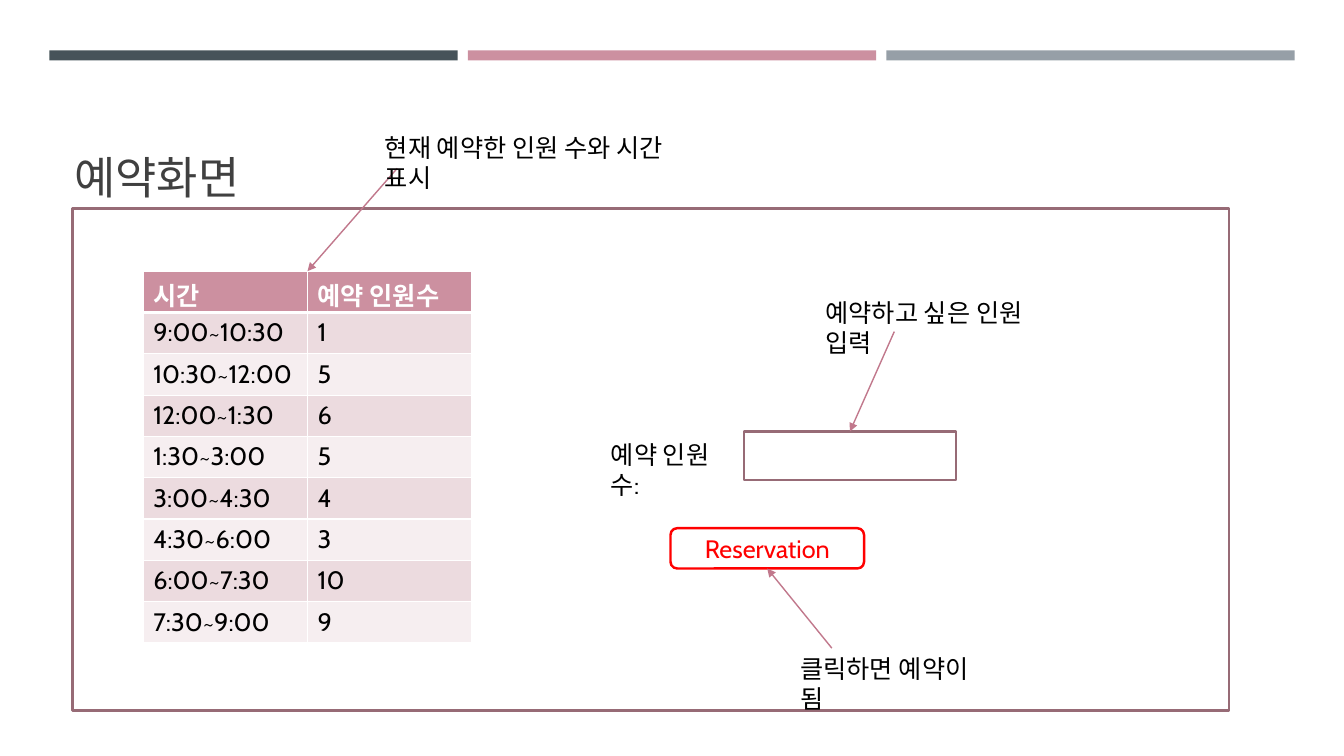
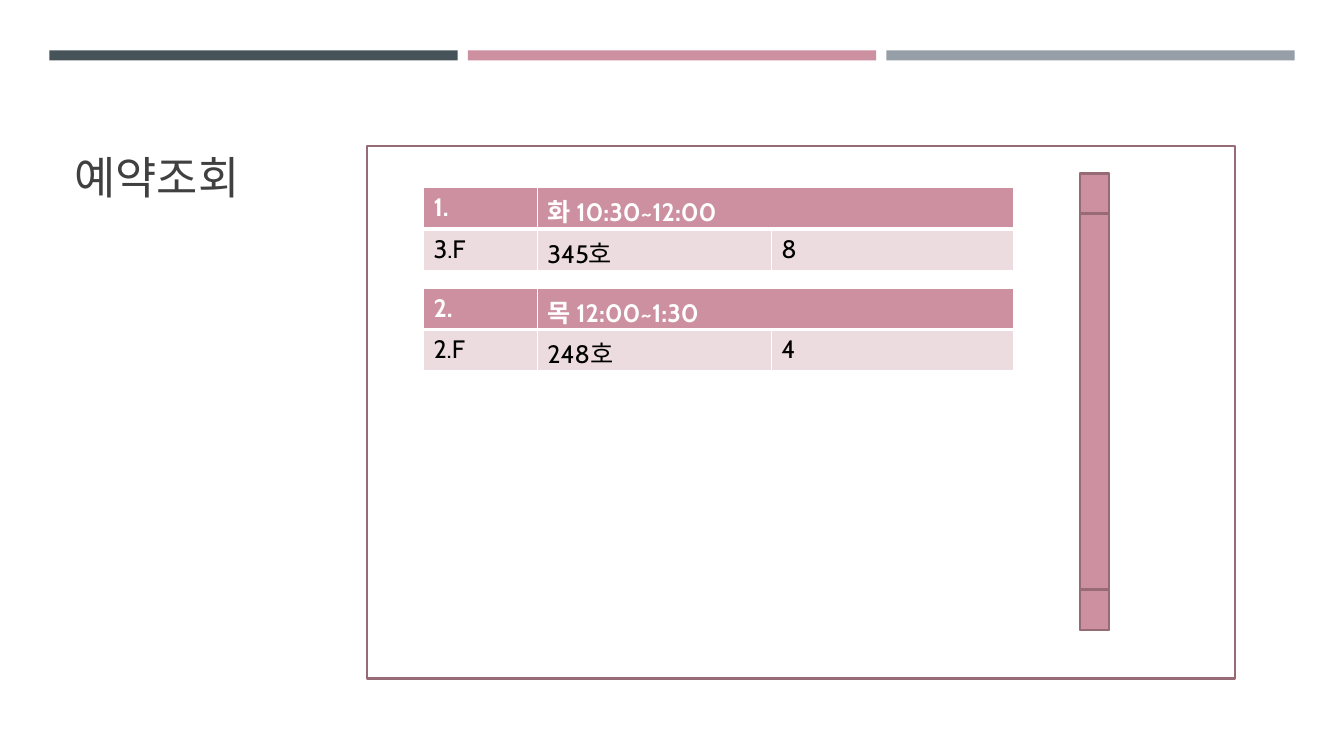
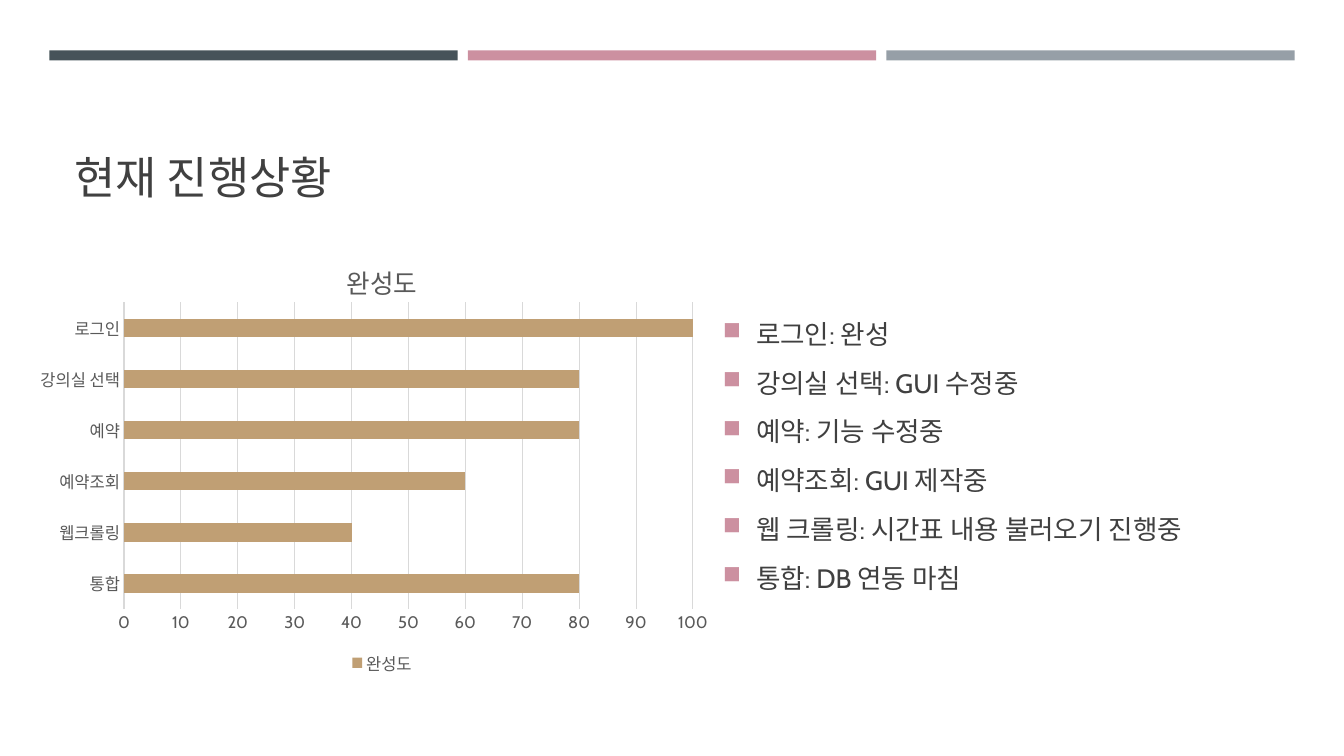
from collections import namedtuple

from lxml.etree import SubElement
from pptx import Presentation
from pptx.chart.data import CategoryChartData
from pptx.dml.color import RGBColor
from pptx.enum.chart import XL_CHART_TYPE, XL_LEGEND_POSITION, XL_TICK_MARK
from pptx.enum.shapes import MSO_CONNECTOR, MSO_SHAPE
from pptx.enum.text import MSO_ANCHOR, MSO_AUTO_SIZE, PP_ALIGN
from pptx.oxml import parse_xml
from pptx.oxml.ns import nsdecls, qn
from pptx.util import Inches, Pt

FONT = "Cabin"
WHITE, BLACK, RED = "FFFFFF", "000000", "FF0000"
SLATE, PINK, GREY = "465359", "CC90A0", "969FA7"
PLUM, ARROW, TITLE = "976B76", "C1788C", "404040"
ROW_TINTS = ("ECDBDF", "F6EEF0")
BAR, GRID, LABEL = "C09F74", "D9D9D9", "595959"
ROW_H = 0.41


class Box(namedtuple("Box", "x y w h")):
    def inner(self, dx, dy, w, h):
        return Box(self.x + dx, self.y + dy, w, h)

    def emu(self):
        return [Inches(v) for v in self]


def rgb(hex_color):
    return RGBColor.from_string(hex_color)


def set_font(font, color, size, bold=False):
    for name, value in {"name": FONT, "size": Pt(size), "bold": bold}.items():
        setattr(font, name, value)
    font.color.rgb = rgb(color)


def add_run(p, text, color=BLACK, size=18, bold=False):
    r = p.add_run()
    r.text = text
    set_font(r.font, color, size, bold)


def add_box(s, box, fill=WHITE, line=PLUM, shape=MSO_SHAPE.RECTANGLE):
    sp = s.shapes.add_shape(shape, *box.emu())
    sp.shadow.inherit = False
    sp.fill.solid()
    sp.fill.fore_color.rgb = rgb(fill)
    if line:
        sp.line.color.rgb = rgb(line)
        sp.line.width = Pt(1.75)
    else:
        sp.line.fill.background()
    return sp


def add_text_frame(s, box, **formats):
    tf = s.shapes.add_textbox(*box.emu()).text_frame
    for name, value in {"word_wrap": True, **formats}.items():
        setattr(tf, name, value)
    return tf


def add_label(s, box, text):
    tf = add_text_frame(s, box, auto_size=MSO_AUTO_SIZE.SHAPE_TO_FIT_TEXT)
    add_run(tf.paragraphs[0], text)


def add_arrow(s, start, end, target=None, site=0):
    """Arrow from start to end, joined to a side of target if given."""
    points = [Inches(v) for v in (*start, *end)]
    cxn = s.shapes.add_connector(MSO_CONNECTOR.STRAIGHT, *points)
    cxn.line.color.rgb = rgb(ARROW)
    cxn.line.width = Pt(1)
    SubElement(cxn.line._get_or_add_ln(), qn("a:tailEnd"), type="triangle")
    SubElement(cxn._element.spPr, qn("a:effectLst"))
    if target is not None:
        cxn.end_connect(target, site)


def style_cell(cell, fill, bottom):
    tcPr = cell._tc.get_or_add_tcPr()
    for side, width in {"L": 1, "R": 1, "T": 1, "B": bottom}.items():
        tcPr.append(parse_xml(
            f'<a:ln{side} {nsdecls("a")} w="{Pt(width)}"><a:solidFill>'
            f'<a:srgbClr val="{WHITE}"/></a:solidFill></a:ln{side}>'))
    cell.fill.solid()
    cell.fill.fore_color.rgb = rgb(fill)


def add_grid(s, x, y, widths, rows):
    """Table with a header row; a short row merges its last cell to the right."""
    box = Box(x, y, sum(widths), ROW_H * len(rows))
    table = s.shapes.add_table(len(rows), len(widths), *box.emu()).table
    for col, width in zip(table.columns, widths):
        col.width = Inches(width)
    for i, row in enumerate(rows):
        header = i == 0
        table.rows[i].height = Inches(ROW_H)
        for j in range(len(widths)):
            cell = table.cell(i, j)
            fill = PINK if header else ROW_TINTS[(i - 1) % 2]
            style_cell(cell, fill, 3 if header else 1)
            if j < len(row):
                add_run(cell.text_frame.paragraphs[0], row[j],
                        WHITE if header else BLACK, bold=header)
        if len(row) < len(widths):
            table.cell(i, len(row) - 1).merge(table.cell(i, len(widths) - 1))
    return box


def new_slide(prs, title):
    """Blank slide with the three top bands and its title."""
    s = prs.slides.add_slide(prs.slide_layouts[6])
    for i, color in enumerate((SLATE, PINK, GREY)):
        add_box(s, Box(0.49 + 4.15 * i, 0.5, 4.05, 0.1), color, None)
    tf = add_text_frame(s, Box(0.64, 0.77, 12.06, 1.3),
                        vertical_anchor=MSO_ANCHOR.BOTTOM)
    add_run(tf.paragraphs[0], title, TITLE, 32)
    return s


def booking_form(s, box):
    add_label(s, box.inner(0, 0.03, 1.42, 0.4), "예약 인원 수:")
    entry = add_box(s, box.inner(1.42, 0, 2.1, 0.48))
    button = add_box(s, box.inner(0.69, 0.96, 1.92, 0.4), line=RED,
                     shape=MSO_SHAPE.ROUNDED_RECTANGLE)
    tf = button.text_frame
    tf.vertical_anchor = MSO_ANCHOR.MIDDLE
    p = tf.paragraphs[0]
    p.alignment = PP_ALIGN.CENTER
    add_run(p, "Reservation", RED)
    return entry, button


def booking_slide(prs, box):
    s = new_slide(prs, "예약화면")
    add_box(s, box)
    times = ("9:00", "10:30", "12:00", "1:30", "3:00", "4:30", "6:00", "7:30", "9:00")
    counts = (1, 5, 6, 5, 4, 3, 10, 9)
    rows = [("시간", "예약 인원수")]
    rows += [(f"{a}~{b}", str(n)) for a, b, n in zip(times, times[1:], counts)]
    grid = add_grid(s, box.x + 0.7, box.y + 0.62, (1.63, 1.63), rows)
    entry, button = booking_form(s, box.inner(5.24, 2.21, 3.52, 1.36))

    table_top = (grid.x + grid.w / 2, grid.y)
    callouts = (
        ("현재 예약한 인원 수와 시간 표시", (3, -0.81, 3.24, 0.4),
         (3.94, 1.67), table_top, None, 0),
        ("예약하고 싶은 인원 입력", (7.37, 0.83, 2.3, 0.4),
         (8.87, 3.29), (8.43, 4.28), entry, 0),
        ("클릭하면 예약이 됨", (7.12, 4.36, 1.98, 0.4),
         (8.25, 6.43), (7.61, 5.64), button, 2),
    )
    for text, place, start, end, target, site in callouts:
        add_arrow(s, start, end, target, site)
        add_label(s, box.inner(*place), text)


def scroll_bar(s, box, knob=0.4):
    add_box(s, box, PINK)
    for dy in (0, box.h - knob):
        add_box(s, box.inner(0, dy, box.w, knob), PINK)


def lookup_slide(prs, box):
    s = new_slide(prs, "예약조회")
    add_box(s, box)
    bookings = (
        (("1.", "화 10:30~12:00"), ("3.F", "345호", "8")),
        (("2.", "목 12:00~1:30"), ("2.F", "248호", "4")),
    )
    for i, rows in enumerate(bookings):
        add_grid(s, box.x + 0.56, box.y + 0.41 + i, (1.13, 2.32, 2.4), rows)
    scroll_bar(s, box.inner(7.07, 0.27, 0.29, 4.53))


def progress_chart(s, box):
    data = CategoryChartData()
    data.categories = ["통합", "웹크롤링", "예약조회", "예약", "강의실 선택", "로그인"]
    data.add_series("완성도", (80, 40, 60, 80, 80, 100))
    chart = s.shapes.add_chart(XL_CHART_TYPE.BAR_CLUSTERED, *box.emu(), data).chart
    set_font(chart.font, BLACK, 10)
    chart.has_title = True
    add_run(chart.chart_title.text_frame.paragraphs[0], "완성도", LABEL, 18.6)

    chart.has_legend = True
    chart.legend.position = XL_LEGEND_POSITION.BOTTOM
    chart.legend.include_in_layout = False
    set_font(chart.legend.font, LABEL, 12)

    plot = chart.plots[0]
    plot.gap_width = 182
    plot.vary_by_categories = False
    fill = plot.series[0].format.fill
    fill.solid()
    fill.fore_color.rgb = rgb(BAR)

    cats, vals = chart.category_axis, chart.value_axis
    for axis in (cats, vals):
        axis.major_tick_mark = axis.minor_tick_mark = XL_TICK_MARK.NONE
        set_font(axis.tick_labels.font, LABEL, 12)
    cats.has_major_gridlines = False
    for name, value in {"minimum_scale": 0, "maximum_scale": 100, "major_unit": 10,
                        "has_major_gridlines": True}.items():
        setattr(vals, name, value)
    vals.format.line.fill.background()
    for line in (cats.format.line, vals.major_gridlines.format.line):
        line.color.rgb = rgb(GRID)
        line.width = Pt(0.75)

    area = chart._chartSpace.chart.plotArea
    for old in area.findall(qn("c:layout")):
        area.remove(old)
    settings = {"layoutTarget": "inner", "xMode": "edge", "yMode": "edge",
                "x": 0.11, "y": 0.14, "w": 0.86, "h": 0.7}
    parts = "".join(f'<c:{k} val="{v}"/>' for k, v in settings.items())
    area.insert(0, parse_xml(f'<c:layout {nsdecls("c")}><c:manualLayout>{parts}'
                             '</c:manualLayout></c:layout>'))


def add_bullet(p):
    pPr = p._p.get_or_add_pPr()
    pPr.set("marL", str(Inches(0.33)))
    pPr.set("indent", str(Inches(-0.33)))
    color = SubElement(pPr, qn("a:buClr"))
    SubElement(color, qn("a:srgbClr"), val=PINK)
    SubElement(pPr, qn("a:buSzPct"), val="92000")
    SubElement(pPr, qn("a:buChar"), char="■")


def status_list(s, box):
    items = ("로그인: 완성", "강의실 선택: GUI 수정중", "예약: 기능 수정중",
             "예약조회: GUI 제작중", "웹 크롤링: 시간표 내용 불러오기 진행중",
             "통합: DB 연동 마침")
    tf = add_text_frame(s, box, vertical_anchor=MSO_ANCHOR.MIDDLE,
                        margin_bottom=Inches(0.53))
    for i, item in enumerate(items):
        p = tf.add_paragraph() if i else tf.paragraphs[0]
        for name, value in {"line_spacing": 1.1, "space_before": Pt(3.8),
                            "space_after": Pt(6)}.items():
            setattr(p, name, value)
        add_bullet(p)
        add_run(p, item, TITLE, 19)


def progress_slide(prs):
    s = new_slide(prs, "현재 진행상황")
    progress_chart(s, Box(0.4, 2.39, 6.67, 4.35))
    status_list(s, Box(7.07, 2.76, 5.42, 3.97))


def main():
    prs = Presentation()
    prs.slide_width, prs.slide_height = Inches(13.33), Inches(7.5)
    booking_slide(prs, Box(0.72, 2.07, 11.47, 4.98))
    lookup_slide(prs, Box(3.64, 1.45, 8.61, 5.28))
    progress_slide(prs)
    prs.save("out.pptx")


if __name__ == "__main__":
    main()
